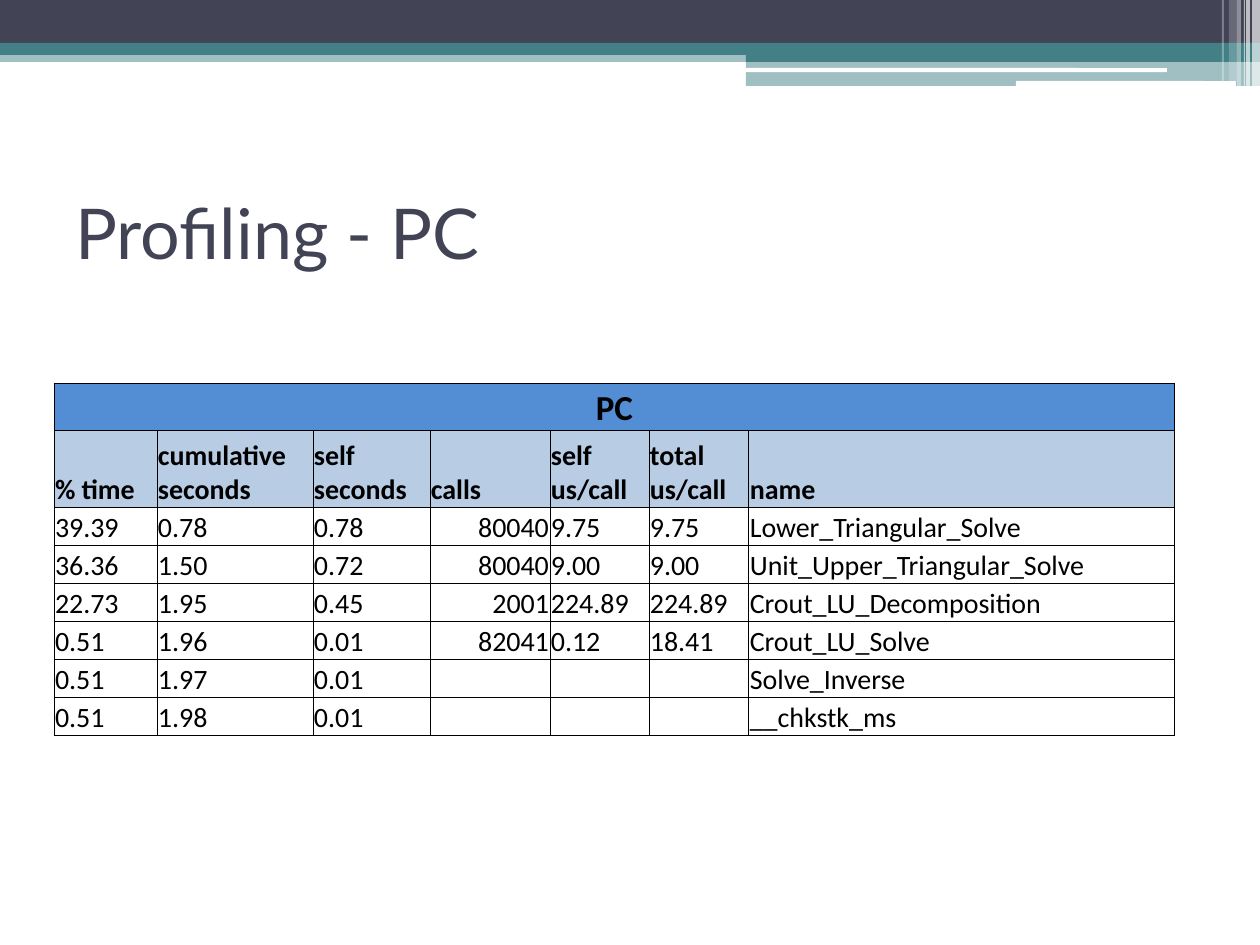
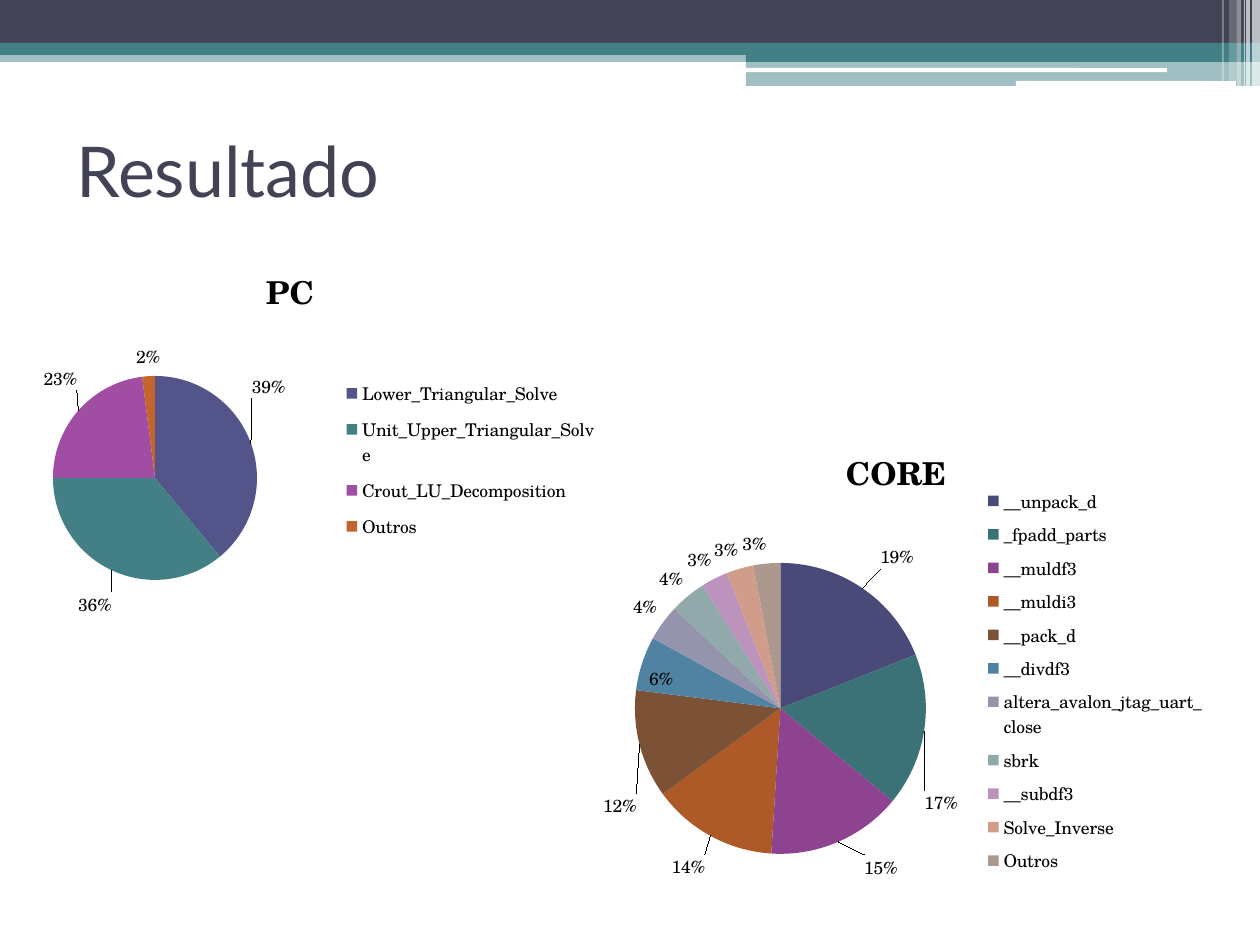
import pptx
import pptx.chart.data
import pptx.dml.color
import pptx.enum.chart
import pptx.enum.shapes
import pptx.enum.text
import pptx.oxml.ns
import pptx.util
from lxml import etree

EMU_PER_PX = 914400 / 126
COLORS = {
    "ink": "424456", "teal": "438086", "white": "FFFFFF", "black": "000000",
    "table_title": "538ED5", "table_head": "B8CCE4",
}
TITLE_FONT, TABLE_FONT, CHART_FONT = "Lato", "Calibri", "TeX Gyre Schola"
PC_COLORS = ["53548A", "438086", "A04DA3", "C4652D"]
CORE_COLORS = ["4A4A78", "3B7278", "8E4391", "AD5A28", "7C5237", "5082A1",
               "9594AD", "91A9AB", "BB93BD", "D29C8A", "AD988D"]

# Header decoration: box in px, colour, opacity in percent
BANDS = [
    ((0, 50, 1260, 12), "teal", 50),
    ((0, 0, 1260, 43), "ink", 100),
    ((0, 43, 1260, 12), "teal", 100),
    ((746, 49, 514, 13), "teal", 100),
    ((746, 61, 514, 25), "teal", 50),
    ((1252, 0, 8, 86), "white", 65),
    ((1246, 0, 4, 86), "white", 65),
    ((1244, 0, 1, 86), "white", 60),
    ((1237, 0, 4, 86), "white", 40),
    ((1229, 0, 8, 81), "white", 20),
    ((1222, 0, 2, 81), "white", 30),
]
PILLS = [(745, 68, 422, 4), (1016, 81, 220, 5)]

COLUMN_WIDTHS = [103, 156, 117, 120, 99, 100, 426]
ROW_HEIGHTS = [47, 77] + [38] * 6
HEADINGS = ["% time", "cumulative\nseconds", "self\nseconds", "calls",
            "self\nus/call", "total\nus/call", "name"]
PROFILE = [
    ["39.39", "0.78", "0.78", "80040", "9.75", "9.75", "Lower_Triangular_Solve"],
    ["36.36", "1.50", "0.72", "80040", "9.00", "9.00", "Unit_Upper_Triangular_Solve"],
    ["22.73", "1.95", "0.45", "2001", "224.89", "224.89", "Crout_LU_Decomposition"],
    ["0.51", "1.96", "0.01", "82041", "0.12", "18.41", "Crout_LU_Solve"],
    ["0.51", "1.97", "0.01", "", "", "", "Solve_Inverse"],
    ["0.51", "1.98", "0.01", "", "", "", "__chkstk_ms"],
]
CALLS_COLUMN = 3

PC_SHARES = {"Lower_Triangular_Solve": 39, "Unit_Upper_Triangular_Solve": 36,
             "Crout_LU_Decomposition": 23, "Outros": 2}
CORE_SHARES = {"__unpack_d": 19, "_fpadd_parts": 17, "__muldf3": 15, "__muldi3": 14,
               "__pack_d": 12, "__divdf3": 6, "altera_avalon_jtag_uart_close": 4,
               "sbrk": 4, "__subdf3": 3, "Solve_Inverse": 3, "Outros": 3}


def px(n):
    return pptx.util.Emu(round(n * EMU_PER_PX))


def rgb(name):
    return pptx.dml.color.RGBColor.from_string(COLORS.get(name, name))


def sub(parent, tag, **attrs):
    return etree.SubElement(parent, pptx.oxml.ns.qn(tag), **attrs)


def style_font(font, color="black", **values):
    for name, value in values.items():
        setattr(font, name, value)
    font.color.rgb = rgb(color)


def add_band(slide, box, color, opacity=100, kind="RECTANGLE"):
    preset = getattr(pptx.enum.shapes.MSO_SHAPE, kind)
    sp = slide.shapes.add_shape(preset, *map(px, box))
    sp.shadow.inherit = False
    sp.fill.solid()
    sp.fill.fore_color.rgb = rgb(color)
    sp.line.fill.background()
    if opacity < 100:
        clr = sp._element.spPr.find(".//" + pptx.oxml.ns.qn("a:srgbClr"))
        sub(clr, "a:alpha", val=str(opacity * 1000))


def add_slide(prs, title, box):
    slide = prs.slides.add_slide(prs.slide_layouts[5])
    for band, color, opacity in BANDS[:5]:
        add_band(slide, band, color, opacity)
    for pill in PILLS:
        add_band(slide, pill, "white", kind="ROUNDED_RECTANGLE")
    for band, color, opacity in BANDS[5:]:
        add_band(slide, band, color, opacity)
    sp = slide.shapes.title
    sp.left, sp.top, sp.width, sp.height = map(px, box)
    tf = sp.text_frame
    tf.text = title
    tf.vertical_anchor = pptx.enum.text.MSO_ANCHOR.MIDDLE
    p = tf.paragraphs[0]
    p.alignment = pptx.enum.text.PP_ALIGN.LEFT
    style_font(p.runs[0].font, "ink", name=TITLE_FONT, size=pptx.util.Pt(40))
    return slide


def fill_cell(cell, text, fill=None, align="LEFT", size=16, bold=False):
    margins = {"margin_left": 1, "margin_right": 1, "margin_top": 1, "margin_bottom": 0}
    for name, value in margins.items():
        setattr(cell, name, px(value))
    cell.vertical_anchor = pptx.enum.text.MSO_ANCHOR.BOTTOM
    if fill:
        cell.fill.solid()
        cell.fill.fore_color.rgb = rgb(fill)
    else:
        cell.fill.background()
    p = cell.text_frame.paragraphs[0]
    p.alignment = getattr(pptx.enum.text.PP_ALIGN, align)
    if text:
        p.text = text
        for r in p.runs:
            style_font(r.font, name=TABLE_FONT, size=pptx.util.Pt(size), bold=bold)
    else:
        sub(p._p, "a:endParaRPr", sz=str(size * 100))


def border_cell(cell):
    tcPr = cell._tc.get_or_add_tcPr()
    for i, side in enumerate("LRTB"):
        ln = sub(tcPr, f"a:ln{side}", w="6350")
        sub(sub(ln, "a:solidFill"), "a:srgbClr", val=COLORS["black"])
        tcPr.insert(i, ln)


def add_profile_table(slide, left, top):
    frame = slide.shapes.add_table(len(ROW_HEIGHTS), len(COLUMN_WIDTHS), px(left), px(top),
                                   px(sum(COLUMN_WIDTHS)), px(sum(ROW_HEIGHTS)))
    table = frame.table
    table.first_row = table.horz_banding = False
    for column, width in zip(table.columns, COLUMN_WIDTHS):
        column.width = px(width)
    for row, height in zip(table.rows, ROW_HEIGHTS):
        row.height = px(height)
    # Title row, headings, then the measurements
    table.cell(0, 0).merge(table.cell(0, len(COLUMN_WIDTHS) - 1))
    fill_cell(table.cell(0, 0), "PC", "table_title", "CENTER", 20, True)
    for c, heading in enumerate(HEADINGS):
        fill_cell(table.cell(1, c), heading, "table_head", bold=True)
    for r, values in enumerate(PROFILE, start=2):
        for c, value in enumerate(values):
            fill_cell(table.cell(r, c), value, align="RIGHT" if c == CALLS_COLUMN else "LEFT")
    for cell in table.iter_cells():
        border_cell(cell)


def make_layout(x, y, w=None, h=None, inner=False):
    """Manual chart layout in fractions of the chart's size."""
    layout = etree.Element(pptx.oxml.ns.qn("c:layout"))
    manual = sub(layout, "c:manualLayout")
    if inner:
        sub(manual, "c:layoutTarget", val="inner")
    if w is not None:
        sub(manual, "c:xMode", val="edge")
        sub(manual, "c:yMode", val="edge")
    for tag, value in zip("xywh", (x, y, w, h)):
        if value is not None:
            sub(manual, f"c:{tag}", val=f"{value:.4f}")
    return layout


def place_part(element, after, layout):
    for old in element.findall(pptx.oxml.ns.qn("c:layout")):
        element.remove(old)
    if after is None:
        element.insert(0, layout)
    else:
        element.find(pptx.oxml.ns.qn(after)).addnext(layout)


def add_pie(slide, title, shares, colors, box, pie_box, legend_box, moved, inside=()):
    data = pptx.chart.data.CategoryChartData()
    data.categories = list(shares)
    data.add_series("Series 1", list(shares.values()))
    chart = slide.shapes.add_chart(pptx.enum.chart.XL_CHART_TYPE.PIE,
                                   *map(px, box), data).chart
    style_font(chart.font, name=CHART_FONT, size=pptx.util.Pt(10))

    # Title and legend
    chart.has_title = True
    tf = chart.chart_title.text_frame
    tf.text = title
    style_font(tf.paragraphs[0].runs[0].font, name=CHART_FONT,
               size=pptx.util.Pt(18), bold=True)
    chart.has_legend = True
    chart.legend.position = pptx.enum.chart.XL_LEGEND_POSITION.RIGHT
    chart.legend.include_in_layout = False

    # Pie and legend boxes
    left, top, width, height = box

    def fractions(x, y, w, h):
        return (x - left) / width, (y - top) / height, w / width, h / height

    plot_area = chart._chartSpace.find(".//" + pptx.oxml.ns.qn("c:plotArea"))
    place_part(plot_area, None, make_layout(*fractions(*pie_box), inner=True))
    place_part(chart.legend._element, "c:legendPos", make_layout(*fractions(*legend_box)))

    # Slices and percentages
    plot = chart.plots[0]
    plot.vary_by_categories = True
    series = plot.series[0]
    positions = pptx.enum.chart.XL_LABEL_POSITION
    labels = series.data_labels
    labels.show_percentage, labels.show_value = True, False
    labels.position = positions.OUTSIDE_END
    for i, color in enumerate(colors):
        point = series.points[i]
        point.format.fill.solid()
        point.format.fill.fore_color.rgb = rgb(color)
        point.format.line.fill.background()
        if i < len(moved) or i in inside:
            label = point.data_label
            label.position = positions.INSIDE_END if i in inside else positions.OUTSIDE_END
            dLbl = labels._element.findall(pptx.oxml.ns.qn("c:dLbl"))[-1]
            for tag, value in {"c:showVal": "0", "c:showPercent": "1"}.items():
                dLbl.find(pptx.oxml.ns.qn(tag)).set("val", value)
            if i < len(moved):
                dx, dy = moved[i]
                place_part(dLbl, "c:idx", make_layout(dx / width, dy / height))


def main():
    prs = pptx.Presentation()
    prs.slide_width, prs.slide_height = px(1260), px(945)

    slide = add_slide(prs, "Profiling - PC", (63, 158, 1134, 147))
    add_profile_table(slide, 54, 383)

    slide = add_slide(prs, "Resultado", (64, 96, 1134, 147))
    add_pie(slide, "PC", PC_SHARES, PC_COLORS, (-25, 244, 630, 378),
            (53, 376, 204, 204), (352, 370, 251, 180),
            moved=[(-6, -42), (3, 15), (4, -15)])
    add_pie(slide, "CORE", CORE_SHARES, CORE_COLORS, (581, 423, 630, 481),
            (635, 563, 291, 291), (985, 480, 220, 402),
            moved=[(14, -13), (-7, 58), (23, 6), (-2, 12), (4, 47)], inside=[5])
    prs.save("out.pptx")


if __name__ == "__main__":
    main()
